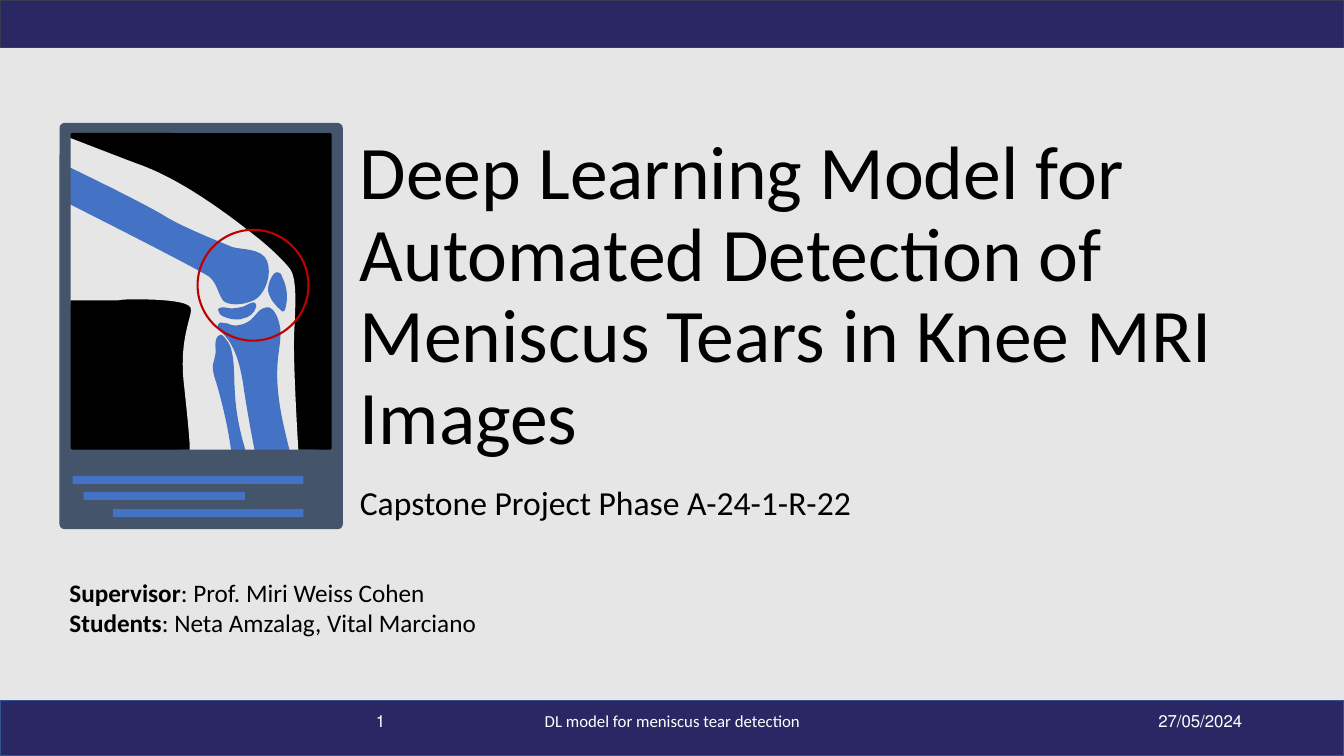
from dataclasses import dataclass

from lxml.etree import SubElement
from pptx import Presentation
from pptx.dml.color import RGBColor
from pptx.enum.shapes import MSO_SHAPE as Shape
from pptx.enum.text import MSO_ANCHOR as Anchor, PP_ALIGN as Align
from pptx.oxml.ns import qn
from pptx.util import Emu, Pt

PX = 9144


@dataclass(frozen=True)
class Theme:
    """Colours, font and type sizes of the slide."""
    background: str = "E7E6E6"
    band: str = "2B2765"
    top_edge: str = "333F50"
    bottom_edge: str = "325491"
    frame: str = "44546A"
    screen: str = "000000"
    skin: str = "E7E6E6"
    bone: str = "4472C4"
    marker: str = "C00000"
    ink: str = "000000"
    light: str = "FFFFFF"
    font: str = "Calibri"
    title: int = 54
    subtitle: int = 24
    body: int = 18
    footer: int = 12


THEME = Theme()

LEG = [
    (70, 137), (68, 145), (69, 298),
    (69, 298, 73, 298, 81, 298), (89, 298, 101, 298, 116, 298),
    (122, 297, 129, 297, 136, 297), (161, 297, 186, 299, 189, 305),
    (192, 312, 178, 332, 182, 377), (187, 423, 189, 446, 188, 447),
    (188, 448, 224, 448, 254, 448), (277, 448, 296, 448, 296, 448),
    (296, 448, 290, 352, 292, 327), (293, 303, 295, 275, 287, 266),
    (280, 257, 264, 242, 248, 230), (187, 182, 152, 168, 135, 162),
    (132, 161, 70, 137, 70, 137),
]
FEMUR = [
    (69, 166), (68, 202),
    (68, 202, 199, 268, 208, 275), (216, 282, 216, 292, 222, 299),
    (225, 301, 229, 302, 234, 302), (242, 302, 252, 299, 256, 295),
    (263, 289, 270, 273, 265, 259), (260, 246, 239, 248, 230, 245),
    (221, 241, 187, 228, 166, 216), (146, 203, 69, 166, 69, 166),
]
MENISCUS = [
    (252, 300),
    (249, 300, 244, 303, 242, 304), (238, 305, 234, 306, 229, 306),
    (227, 306, 225, 305, 223, 305), (222, 305, 221, 305, 220, 305),
    (219, 305, 218, 305, 217, 306), (216, 307, 216, 308, 217, 309),
    (217, 312, 221, 314, 224, 315), (227, 316, 231, 317, 235, 317),
    (237, 317, 239, 317, 241, 316), (247, 315, 252, 311, 254, 305),
    (255, 302, 254, 301, 252, 300),
]
TIBIA = [
    (264, 305),
    (258, 305, 253, 314, 248, 318), (244, 321, 238, 323, 233, 323),
    (231, 323, 228, 322, 226, 321), (224, 321, 221, 320, 219, 320),
    (219, 320, 218, 320, 217, 321), (216, 321, 216, 321, 216, 322),
    (215, 325, 217, 327, 219, 329), (233, 341, 238, 362, 241, 380),
    (244, 401, 248, 423, 252, 444), (252, 446, 253, 449, 255, 451),
    (256, 451, 257, 451, 258, 451), (259, 451, 259, 451, 259, 451),
    (269, 451, 279, 450, 288, 450),
    (280, 418, 272, 386, 276, 353), (277, 344, 279, 335, 278, 326),
    (277, 319, 274, 308, 267, 305), (266, 305, 265, 305, 264, 305),
]
PATELLA = [
    (275, 270),
    (270, 270, 265, 283, 266, 289), (268, 297, 273, 303, 279, 308),
    (279, 309, 280, 309, 281, 309), (282, 309, 283, 307, 283, 306),
    (286, 296, 285, 285, 280, 275), (279, 271, 277, 270, 275, 270),
]
FIBULA = [
    (219, 332),
    (217, 332, 215, 334, 214, 338), (213, 341, 214, 344, 214, 348),
    (214, 353, 212, 358, 211, 363), (211, 369, 213, 375, 215, 381),
    (221, 402, 226, 423, 229, 445), (229, 446, 230, 447, 230, 448),
    (231, 448, 232, 448, 232, 448), (233, 448, 233, 448, 233, 448),
    (237, 448, 240, 448, 244, 448), (238, 429, 234, 409, 233, 389),
    (232, 374, 233, 359, 229, 345), (228, 342, 225, 337, 222, 334),
    (221, 333, 220, 332, 219, 332),
]


def emu(*lengths):
    """Turn px lengths into EMU."""
    return [Emu(round(length * PX)) for length in lengths]


def paint(shape, fill=None, line=None, width=1):
    """Set the fill and line of a shape and drop its shadow."""
    shape.shadow.inherit = False
    if fill:
        shape.fill.solid()
        shape.fill.fore_color.rgb = RGBColor.from_string(fill)
    else:
        shape.fill.background()
    if line:
        shape.line.color.rgb = RGBColor.from_string(line)
        shape.line.width = Pt(width)
    else:
        shape.line.fill.background()


def add_preset(page, kind, at, radius=None, **style):
    """Add a painted preset shape, with a corner radius in px if given."""
    shape = page.shapes.add_shape(kind, *emu(*at))
    if radius:
        shape.adjustments[0] = radius / min(at[2:])
    paint(shape, **style)


def add_outline(page, outline, fill):
    """Add a filled freeform of lines (2 numbers) and cubic curves (6 numbers)."""
    start, *ends = [emu(*segment[-2:]) for segment in outline]
    builder = page.shapes.build_freeform(*start)
    builder.add_line_segments(ends, close=True)
    shape = builder.convert_to_shape()
    lines = list(shape._element.iter(qn("a:lnTo")))
    for line, segment in zip(lines, outline[1:]):
        if len(segment) == 6:
            line.tag = qn("a:cubicBezTo")
            line.clear()
            for x, y in zip(emu(*segment[::2]), emu(*segment[1::2])):
                SubElement(line, qn("a:pt"), x=str(x - shape.left), y=str(y - shape.top))
    paint(shape, fill=fill)


def add_text(page, at, lines, size, color=THEME.ink, align=Align.LEFT,
             anchor=Anchor.TOP, spacing=1.0, right_to_left=False):
    """Add a text box; each line is a list of (text, bold) spans."""
    box = page.shapes.add_textbox(*emu(*at))
    frame = box.text_frame
    frame.word_wrap = True
    frame.vertical_anchor = anchor
    for index, spans in enumerate(lines):
        para = frame.add_paragraph() if index else frame.paragraphs[0]
        para.alignment = align
        para.line_spacing = spacing
        if right_to_left:
            para._p.get_or_add_pPr().set("rtl", "1")
        for text, bold in spans:
            span = para.add_run()
            span.text = text
            span.font.name = THEME.font
            span.font.size = Pt(size)
            span.font.bold = bold
            span.font.color.rgb = RGBColor.from_string(color)


def add_knee_scan(page):
    """Draw the framed knee scan with its caption bars and marker."""
    add_preset(page, Shape.ROUNDED_RECTANGLE, (59, 122, 281, 403), 5, fill=THEME.frame)
    add_preset(page, Shape.ROUNDED_RECTANGLE, (70, 132, 259, 314), 2, fill=THEME.screen)
    for left, top, width in ((72, 472, 229), (83, 488, 160), (112, 505, 189)):
        add_preset(page, Shape.RECTANGLE, (left, top, width, 8), fill=THEME.bone)
    add_outline(page, LEG, THEME.skin)
    for bone in (FEMUR, MENISCUS, TIBIA, PATELLA, FIBULA):
        add_outline(page, bone, THEME.bone)
    for edge in ((61, 138, 9, 165), (180, 446, 134, 12)):
        add_preset(page, Shape.RECTANGLE, edge, fill=THEME.frame)
    add_preset(page, Shape.OVAL, (196, 228, 110, 110), line=THEME.marker, width=1.5)


def main():
    """Build the title slide and save it."""
    deck = Presentation()
    deck.slide_width, deck.slide_height = emu(1333, 750)
    page = deck.slides.add_slide(deck.slide_layouts[6])
    page.background.fill.solid()
    page.background.fill.fore_color.rgb = RGBColor.from_string(THEME.background)

    add_preset(page, Shape.RECTANGLE, (0, 695, 1333, 55), fill=THEME.band, line=THEME.bottom_edge)
    add_preset(page, Shape.RECTANGLE, (0, 0, 1333, 47), fill=THEME.band, line=THEME.top_edge)
    title = "Deep Learning Model for Automated Detection of Meniscus Tears in Knee MRI Images"
    add_text(page, (347, 125, 922, 337), [[(title, False)]], THEME.title,
             anchor=Anchor.BOTTOM, spacing=0.9)
    add_text(page, (347, 473, 1000, 51), [[("Capstone Project Phase A-24-1-R-22", False)]],
             THEME.subtitle, anchor=Anchor.BOTTOM, spacing=0.9)
    add_text(page, (59, 568, 894, 101),
             [[("Supervisor", True), (": Prof. Miri Weiss Cohen", False)],
              [("Students", True), (": Neta Amzalag, Vital Marciano", False)]],
             THEME.body, align=Align.JUSTIFY)
    add_knee_scan(page)
    for left, width, text, align in (
            (442, 450, "DL model for meniscus tear detection", Align.CENTER),
            (92, 300, "1", Align.RIGHT),
            (942, 300, "27/05/2024", Align.RIGHT)):
        add_text(page, (left, 695, width, 40), [[(text, False)]], THEME.footer, THEME.light,
                 align, Anchor.MIDDLE, right_to_left=True)
    deck.save("out.pptx")


if __name__ == "__main__":
    main()
